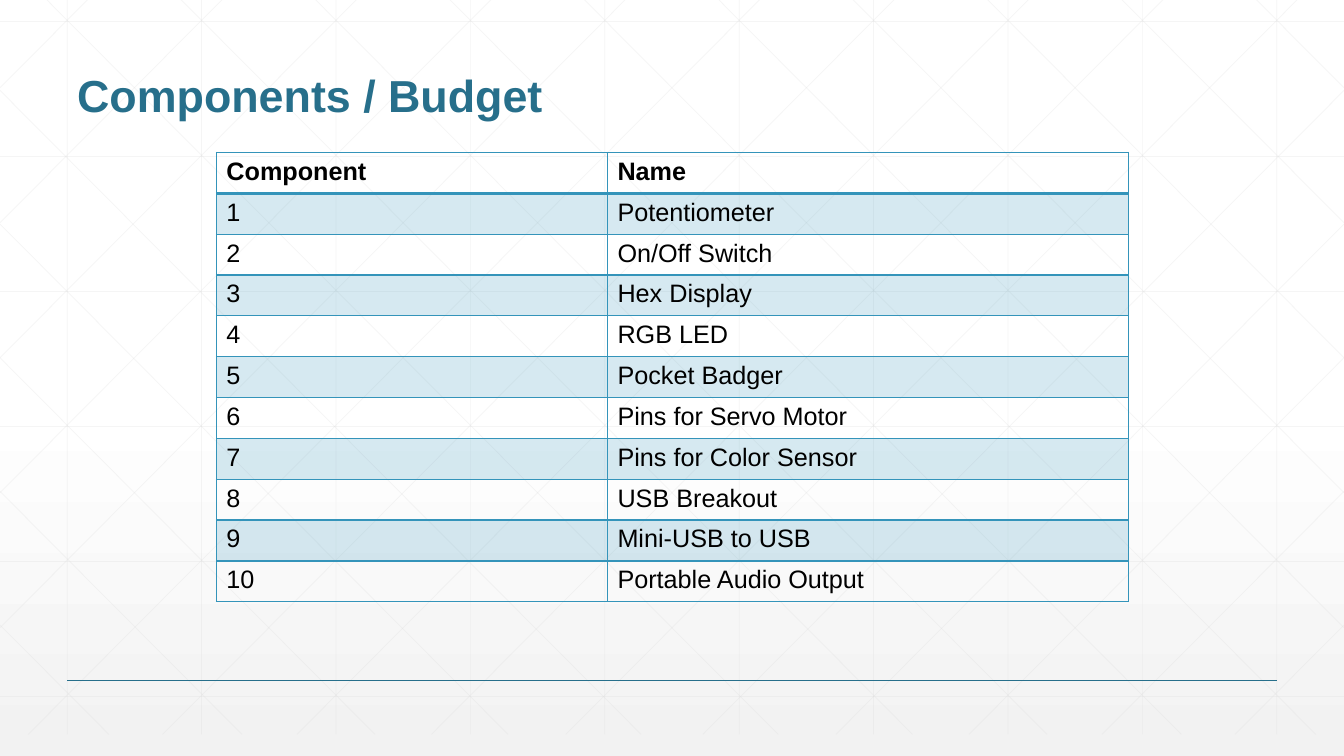
"""Build the Components / Budget slide: a faint lattice, a title and a parts table."""
from copy import deepcopy
from dataclasses import dataclass

from lxml.etree import SubElement
from pptx import Presentation
from pptx.dml.color import RGBColor as Rgb
from pptx.enum.shapes import MSO_CONNECTOR as Connector
from pptx.enum.text import MSO_ANCHOR as Anchor
from pptx.oxml.ns import qn
from pptx.util import Inches, Pt


@dataclass(frozen=True)
class Theme:
    font: str = "Arial"
    title: str = "276F8B"
    accent: str = "3494BA"
    lattice: str = "D9D9D9"
    text: str = "000000"
    backdrop: tuple = ((0, "FFFFFF"), (0.53, "FFFFFF"), (1, "F2F2F2"))
    title_size: int = 32
    table_size: int = 18
    band_alpha: int = 20
    lattice_alpha: int = 25


theme = Theme()
deck = Presentation()
deck.slide_width, deck.slide_height = Inches(13.33), Inches(7.5)
COL, ROW = deck.slide_width / 10, deck.slide_height / 5.6
slide = deck.slides.add_slide(deck.slide_layouts[6])


def draw_line(start, end, color, width, alpha=100):
    points = [round(n * unit) for point in (start, end) for n, unit in zip(point, (COL, ROW))]
    line = slide.shapes.add_connector(Connector.STRAIGHT, *points)
    line.line.color.rgb = Rgb.from_string(color)
    line.line.width = Pt(width)
    set_alpha(line.element, alpha)
    SubElement(line.element.spPr, qn("a:effectLst"))


def set_alpha(element, percent):
    for color in element.iter(qn("a:srgbClr")):
        SubElement(color, qn("a:alpha"), val=str(percent * 1000))


backdrop = slide.background.fill
backdrop.gradient()
backdrop.gradient_angle = 270
stop_list = next(slide.element.iter(qn("a:gsLst")))
stop_list.append(deepcopy(stop_list[0]))
for stop, (position, color) in zip(backdrop.gradient_stops, theme.backdrop):
    stop.position = position
    stop.color.rgb = Rgb.from_string(color)

TOP, BOTTOM = -0.16, 5.44
lattice = [((0.5 + k, TOP), (0.5 + k, BOTTOM)) for k in range(10)]
lattice += [((0, 0.16 + k), (10, 0.16 + k)) for k in range(6)]

diagonals = []
for k in range(10):
    start = 0.19 + k
    run = min(BOTTOM - TOP, 10 - start)
    diagonals.append(((start, TOP), (start + run, TOP + run)))
for k in range(5):
    run = 0.81 + 0.99 * k
    diagonals.append(((run, BOTTOM), (0, BOTTOM - run)))
mirrored = [((10 - x1, y1), (10 - x2, y2)) for (x1, y1), (x2, y2) in diagonals]

for start, end in lattice + diagonals + mirrored:
    draw_line(start, end, theme.lattice, 0.5, theme.lattice_alpha)
draw_line((0.5, 5.04), (9.5, 5.04), theme.title, 1)

heading = slide.shapes.add_textbox(
    round(0.5 * COL), round(0.19 * ROW), round(9 * COL), round(0.75 * ROW)).text_frame
heading.word_wrap = True
heading.vertical_anchor = Anchor.BOTTOM
heading.text = "Components / Budget"
heading.paragraphs[0].line_spacing = 0.9
heading_font = heading.paragraphs[0].runs[0].font
heading_font.name, heading_font.size, heading_font.bold = theme.font, Pt(theme.title_size), True
heading_font.color.rgb = Rgb.from_string(theme.title)

components = [
    "Potentiometer", "On/Off Switch", "Hex Display", "RGB LED", "Pocket Badger",
    "Pins for Servo Motor", "Pins for Color Sensor", "USB Breakout",
    "Mini-USB to USB", "Portable Audio Output",
]
entries = [("Component", "Name")]
entries += [(str(number), name) for number, name in enumerate(components, 1)]
column_widths = (2.91, 3.88)

budget = slide.shapes.add_table(
    len(entries), len(column_widths), round(1.61 * COL), round(1.13 * ROW),
    round(sum(column_widths) * COL), round(3.33 * ROW)).table
budget.first_row = budget.horz_banding = False
for column, width in zip(budget.columns, column_widths):
    column.width = round(width * COL)

for r, entry in enumerate(entries):
    for c, wording in enumerate(entry):
        cell = budget.cell(r, c)
        cell.text_frame.text = wording
        font = cell.text_frame.paragraphs[0].runs[0].font
        font.name, font.size, font.bold = theme.font, Pt(theme.table_size), r == 0
        font.color.rgb = Rgb.from_string(theme.text)

        properties = cell._tc.get_or_add_tcPr()
        for side in "LRTB":
            weight = 2 if (r, side) in ((0, "B"), (1, "T")) else 1
            border = SubElement(properties, qn(f"a:ln{side}"), w=str(Pt(weight)))
            paint = SubElement(border, qn("a:solidFill"))
            SubElement(paint, qn("a:srgbClr"), val=theme.accent)

        if r % 2:
            cell.fill.solid()
            cell.fill.fore_color.rgb = Rgb.from_string(theme.accent)
            set_alpha(properties.find(qn("a:solidFill")), theme.band_alpha)
        else:
            cell.fill.background()

deck.save("out.pptx")
